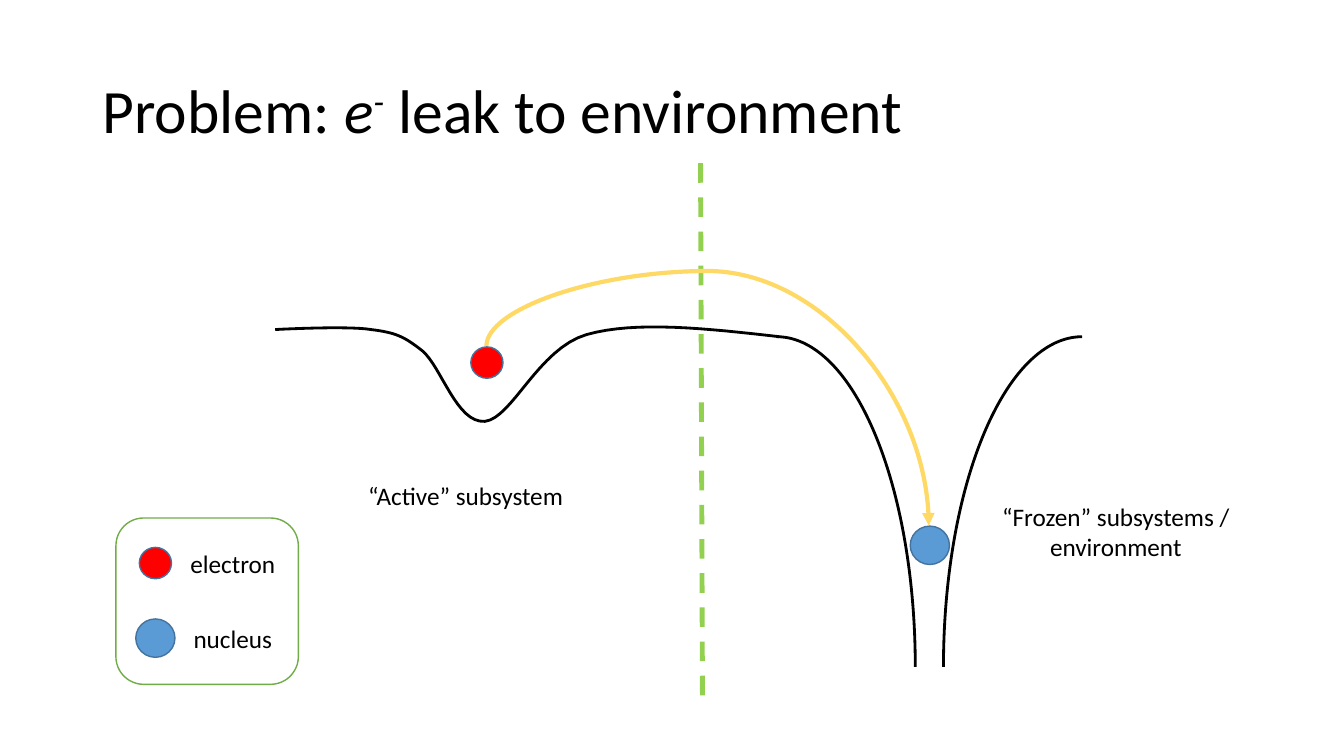
"""Builds a slide on electrons leaking from an active subsystem to its environment."""
from pptx import Presentation
from pptx.dml.color import RGBColor
from pptx.enum.dml import MSO_LINE
from pptx.enum.shapes import MSO_CONNECTOR as CXN, MSO_SHAPE as SHP
from pptx.enum.text import MSO_ANCHOR, PP_ALIGN
from pptx.oxml.ns import qn
from pptx.util import Pt
from lxml import etree

COLORS = {
    "black": "000000", "electron": "FF0000", "nucleus": "5B9BD5", "rim": "43739E",
    "divider": "92D050", "leak": "FFD966", "legend": "70AD47",
}

prs = Presentation()
prs.slide_width, prs.slide_height = Pt(960), Pt(540)
s = prs.slides.add_slide(prs.slide_layouts[6])


def style(sp, line, width, fill=None):
    sp.line.color.rgb = RGBColor.from_string(COLORS[line])
    sp.line.width = Pt(width)
    if fill:
        sp.fill.solid()
        sp.fill.fore_color.rgb = RGBColor.from_string(COLORS[fill])
    elif hasattr(sp, "fill"):
        sp.fill.background()
    if hasattr(sp, "shadow"):
        sp.shadow.inherit = False
    else:
        etree.SubElement(sp._element.spPr, qn("a:effectLst"))


def add_text(box, runs, size, align=PP_ALIGN.CENTER, anchor=MSO_ANCHOR.TOP, spacing=1.0):
    tf = s.shapes.add_textbox(*map(Pt, box)).text_frame
    tf.word_wrap = True
    tf.vertical_anchor = anchor
    p = tf.paragraphs[0]
    p.alignment, p.line_spacing = align, spacing
    for text, look in runs:
        r = p.add_run()
        r.text = text
        r.font.name, r.font.size = "Calibri", Pt(size)
        r.font.color.rgb = RGBColor.from_string(COLORS["black"])
        if look:
            r.font.italic = True
        if look == "super":
            r.font._element.set("baseline", "30000")


title = [("Problem: ", None), ("e", "italic"), ("-", "super"), (" leak to environment", None)]
add_text((66, 28.75, 828, 104.4), title, 44, PP_ALIGN.LEFT, MSO_ANCHOR.MIDDLE, 0.9)

legend = s.shapes.add_shape(SHP.ROUNDED_RECTANGLE, Pt(82.8), Pt(370), Pt(130.3), Pt(118.8))
style(legend, "legend", 1)

for left, flipped in ((455.8, False), (673.9, True)):
    wall = s.shapes.add_shape(SHP.ARC, Pt(left), Pt(240.5), Pt(198), Pt(471.6))
    style(wall, "black", 2)
    if flipped:
        wall._element.spPr.xfrm.set("flipH", "1")

well = [
    (556.6, 240.5), (505.4, 234.7), (454.3, 229), (419, 239),
    (384.5, 249.1), (365.8, 299), (346.3, 301), (326.2, 302.4), (315.4, 262.1), (301.7, 250.6),
    (288, 239.8), (282.2, 237.6), (265, 235.4), (247.7, 232.6), (196.6, 235.4), (196.6, 235.4),
]
STEPS = 16
points = []
for i in range(0, len(well) - 1, 3):
    for k in range(1, STEPS + 1):
        t = k / STEPS
        weights = ((1 - t) ** 3, 3 * t * (1 - t) ** 2, 3 * t * t * (1 - t), t ** 3)
        points.append(tuple(
            Pt(sum(w * pt[axis] for w, pt in zip(weights, well[i:i + 4]))) for axis in (0, 1)
        ))
builder = s.shapes.build_freeform(Pt(well[0][0]), Pt(well[0][1]))
builder.add_line_segments(points, close=False)
style(builder.convert_to_shape(), "black", 2)

divider = s.shapes.add_connector(CXN.STRAIGHT, Pt(500.4), Pt(116.6), Pt(501.8), Pt(506.2))
style(divider, "divider", 3.5)
divider.line.dash_style = MSO_LINE.DASH

leak = s.shapes.add_connector(CXN.CURVE, Pt(569.5), Pt(153.4), Pt(441.4), Pt(469.4))
style(leak, "leak", 3)
leak._element.spPr.find(qn("a:xfrm")).set("rot", "16200000")
guides = leak._element.spPr.find(qn("a:prstGeom")).find(qn("a:avLst"))
etree.SubElement(guides, qn("a:gd"), name="adj1", fmla="val -42000")
etree.SubElement(leak.line._get_or_add_ln(), qn("a:tailEnd"), type="triangle")

particles = [
    ("electron", 347.8, 259), ("nucleus", 664.2, 389.5),
    ("electron", 111, 402.2), ("nucleus", 111, 455.8),
]
sizes = {"electron": (23, 22.4), "nucleus": (28, 27.4)}
for kind, cx, cy in particles:
    w, h = sizes[kind]
    sp = s.shapes.add_shape(SHP.OVAL, Pt(cx - w / 2), Pt(cy - h / 2), Pt(w), Pt(h))
    style(sp, "rim", 1, kind)

labels = [
    ("“Active” subsystem", 209.5, 339.8, 29),
    ("“Frozen” subsystems / environment", 673.9, 354.2, 51),
    ("electron", 43.2, 388.1, 29),
    ("nucleus", 43.2, 441.5, 29),
]
for text, left, top, height in labels:
    add_text((left, top, 246.2, height), [(text, None)], 18)

prs.save("out.pptx")
